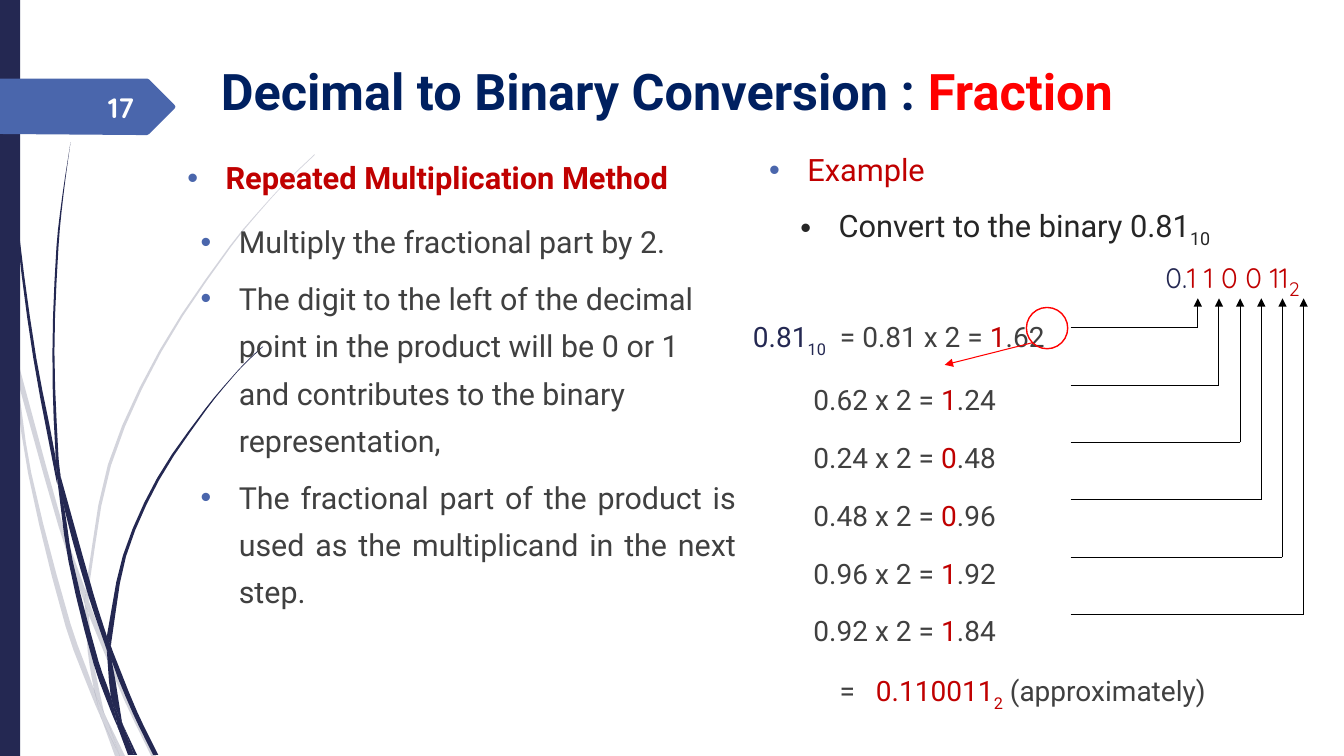
from math import dist
from lxml import etree
from pptx import Presentation
from pptx.dml.color import RGBColor
from pptx.enum.shapes import MSO_CONNECTOR, MSO_SHAPE
from pptx.enum.text import MSO_ANCHOR, MSO_AUTO_SIZE, PP_ALIGN
from pptx.oxml.ns import qn
from pptx.util import Inches, Pt

LINE = MSO_CONNECTOR.STRAIGHT
RECT, OVAL = MSO_SHAPE.RECTANGLE, MSO_SHAPE.OVAL
TOP, MIDDLE = MSO_ANCHOR.TOP, MSO_ANCHOR.MIDDLE
LEFT, RIGHT, JUSTIFY = PP_ALIGN.LEFT, PP_ALIGN.RIGHT, PP_ALIGN.JUSTIFY
NO_FIT = MSO_AUTO_SIZE.NONE
NAVY, BLUE, RED, DARK_RED, GREY = "242852", "4A66AC", "FF0000", "C00000", "404040"

PALE_WISPS = [
    ([(.11, 3.5), (.09, 3.22), (0, 2.82)], [(0, 2.99), (.1, 3.44), (.11, 3.5)]),
    ([(.17, 3.76), (.58, 5.22), (.84, 5.99)], [(.85, 5.86), (.62, 5.2), (.14, 3.45)]),
    ([(.88, 5.96), (.92, 6.07), (1.27, 6.92), (1.55, 7.5)],
     [(1.5, 7.5), (1.23, 6.94), (.88, 6.1)]),
    ([(1.05, 7.11), (1.24, 7.5)], [(1.19, 7.5), (1.05, 7.11)]),
    ([(1.01, 7.14), (.99, 7.07), (.93, 6.83), (.7, 6.19), (.31, 4.69), (.17, 3.76), (.11, 3.5)],
     [(.11, 3.5), (.28, 4.7), (.65, 6.21), (.92, 6.93), (1.01, 7.14)]),
    ([(.84, 5.99), (.87, 6.46), (.93, 6.83), (.96, 6.92), (1.05, 7.11)],
     [(1.05, 7.11), (1.03, 7.06), (.91, 6.46), (.88, 6.1), (.84, 5.99)]),
    ([(.88, 5.96), (.88, 5.84), (1.1, 4.62), (1.6, 3.49), (2.29, 2.45), (2.68, 1.98),
      (2.9, 1.75), (3.12, 1.54)],
     [(3.12, 1.53), (2.89, 1.75), (2.68, 1.97), (2.28, 2.44), (1.58, 3.48), (1.07, 4.61),
      (.85, 5.84), (.85, 5.86)]),
    ([(1.01, 7.14), (1.14, 7.5)], [(1.19, 7.5), (1.01, 7.14)]),
    ([(.88, 6.1), (.88, 5.96)], [(.85, 5.86), (.84, 5.99), (.88, 6.08)]),
    ([(.93, 6.83), (.96, 6.92), (1.05, 7.11), (1.19, 7.5)],
     [(1.19, 7.5), (1.01, 7.14), (.99, 7.07), (.93, 6.83)]),
]
NAVY_WISPS = [
    ([(.04, 0), (.05, .48), (.08, 1.09), (.19, 2.32), (.36, 3.55), (.55, 4.53), (.57, 4.81)],
     [(.57, 4.81), (.56, 4.77), (.33, 3.55), (.17, 2.33), (.07, 1.1), (.04, .48), (.03, 0)]),
    ([(.6, 4.72), (.64, 5.05), (.88, 5.92), (1.06, 6.45)],
     [(1.06, 6.31), (.93, 5.9), (.6, 4.72)]),
    ([(1.1, 6.41), (1.13, 6.49), (1.36, 7.06), (1.57, 7.49)],
     [(1.52, 7.49), (1.32, 7.08), (1.11, 6.56), (1.1, 6.41)]),
    ([(.57, 4.77), (.64, 5.05), (.72, 5.56), (.98, 6.57), (1.1, 6.91), (1.16, 7.17), (1.17, 7.22)],
     [(1.17, 7.22), (1.11, 7.08), (.93, 6.59), (.68, 5.57), (.57, 4.77)]),
    ([(.6, 4.72), (.58, 4.53), (.54, 3.49), (.58, 2.45), (.63, 1.93), (.7, 1.41)],
     [(.7, 1.41), (.62, 1.93), (.56, 2.45), (.52, 3.49), (.55, 4.49), (.6, 4.72)]),
    ([(1.22, 7.19), (1.36, 7.49)], [(1.33, 7.49), (1.22, 7.19)]),
    ([(.55, 4.49), (.6, 4.72), (.64, 5.05)], [(.64, 5.05), (.57, 4.77), (.55, 4.49)]),
    ([(1.1, 6.41), (1.11, 6.33), (1.25, 5.52), (1.58, 4.76), (2.05, 4.06), (2.31, 3.74),
      (2.45, 3.59), (2.61, 3.44)],
     [(2.6, 3.44), (2.45, 3.58), (2.31, 3.73), (2.04, 4.05), (1.56, 4.74), (1.22, 5.51),
      (1.06, 6.31)]),
    ([(1.17, 7.22), (1.27, 7.49)], [(1.31, 7.49), (1.17, 7.22)]),
    ([(1.06, 6.45), (1.1, 6.91), (1.16, 7.06), (1.22, 7.19)],
     [(1.22, 7.19), (1.21, 7.16), (1.11, 6.56), (1.06, 6.45)]),
    ([(1.06, 6.45), (1.11, 6.56), (1.1, 6.41)], [(1.1, 6.41), (1.06, 6.31), (1.06, 6.45)]),
    ([(1.1, 6.91), (1.16, 7.06), (1.22, 7.19), (1.33, 7.49)],
     [(1.3, 7.49), (1.17, 7.22), (1.16, 7.17), (1.1, 6.91)]),
]
NUMBER_FLAG = [(0, .78), (1.46, .78), (1.48, .79), (1.73, 1.04), (1.74, 1.06), (1.73, 1.08),
               (1.48, 1.33), (1.46, 1.34), (1.36, 1.34), (0, 1.33)]
STEPS = [("0.62", "1", ".24"), ("0.24", "0", ".48"), ("0.48", "0", ".96"),
         ("0.96", "1", ".92"), ("0.92", "1", ".84")]


def rgb(color):
    return RGBColor.from_string(color)


def smooth(points, steps=3):
    last = len(points) - 1
    slopes = []
    for i, p in enumerate(points):
        a, b = points[max(i - 1, 0)], points[min(i + 1, last)]
        length = dist(a, p) + dist(p, b)
        slopes.append([(v - u) / length for u, v in zip(a, b)])
    curve = [points[0]]
    for i in range(last):
        p, q = points[i], points[i + 1]
        h = dist(p, q)
        for k in range(1, steps + 1):
            t = k / steps
            bend = 3 * t**2 - 2 * t**3
            curve.append(tuple(
                u + (v - u) * bend + h * (m * (t**3 - 2 * t**2 + t) + n * (t**3 - t**2))
                for u, v, m, n in zip(p, q, slopes[i], slopes[i + 1])))
    return curve


def paint(shape, color, alpha=None):
    shape.shadow.inherit = False
    shape.line.fill.background()
    shape.fill.solid()
    shape.fill.fore_color.rgb = rgb(color)
    if alpha:
        clr = shape.fill._xPr.find(".//" + qn("a:srgbClr"))
        etree.SubElement(clr, qn("a:alpha"), val=str(alpha * 1000))


def outline(s, points, color, alpha=None):
    corners = [(Inches(x), Inches(y)) for x, y in points]
    builder = s.shapes.build_freeform(*corners[0])
    builder.add_line_segments(corners[1:], close=True)
    paint(builder.convert_to_shape(), color, alpha)


def line(s, start, end, color="000000", arrow=False):
    c = s.shapes.add_connector(LINE, *map(Inches, start + end))
    c.line.color.rgb = rgb(color)
    c.line.width = Pt(.75)
    if arrow:
        etree.SubElement(c.line._get_or_add_ln(), qn("a:tailEnd"), type="triangle")
    etree.SubElement(c._element.spPr, qn("a:effectLst"))


def fill_paragraph(p, runs, base, bullet=None, margin=0, indent=0, tabs=(), **fmt):
    for name, value in fmt.items():
        setattr(p, name, value)
    pPr = p._p.get_or_add_pPr()
    pPr.set("marL", str(Inches(margin)))
    pPr.set("indent", str(Inches(indent)))
    if bullet:
        clr = etree.SubElement(pPr, qn("a:buClr"))
        etree.SubElement(clr, qn("a:srgbClr"), val=bullet)
        etree.SubElement(pPr, qn("a:buFont"), typeface="Arial")
        etree.SubElement(pPr, qn("a:buChar"), char="•")
    if tabs:
        tab_list = etree.SubElement(pPr, qn("a:tabLst"))
        for pos in tabs:
            etree.SubElement(tab_list, qn("a:tab"), pos=str(Inches(pos)), algn="l")
    for text, color, *extra in runs:
        r = p.add_run()
        r.text = text
        look = dict(base, **(extra[0] if extra else {}))
        xml = {"baseline": look.pop("baseline", None), "spc": look.pop("spc", None)}
        for name, value in look.items():
            setattr(r.font, name, value)
        r.font.color.rgb = rgb(color)
        for name, value in xml.items():
            if value:
                r.font._element.set(name, str(value))


def write(sp, box, size, paragraphs, font="Roboto", bold=False, wrap=True, anchor=TOP):
    sp.left, sp.top, sp.width, sp.height = map(Inches, box)
    tf = sp.text_frame
    tf.auto_size, tf.word_wrap, tf.vertical_anchor = NO_FIT, wrap, anchor
    base = {"name": font, "size": Pt(size), "bold": bold}
    for i, (runs, fmt) in enumerate(paragraphs):
        p = tf.paragraphs[0] if i == 0 else tf.add_paragraph()
        if i == 0:
            fmt = dict(fmt, space_before=Pt(0))
        fill_paragraph(p, runs, base, **fmt)


def text(s, box, *args, **kwargs):
    write(s.shapes.add_textbox(*map(Inches, box)), box, *args, **kwargs)


def main():
    prs = Presentation()
    prs.slide_width, prs.slide_height = Inches(13.33), Inches(7.5)
    s = prs.slides.add_slide(prs.slide_layouts[5])
    for wisps, alpha in ((PALE_WISPS, 20), (NAVY_WISPS, None)):
        for out, back in wisps:
            outline(s, smooth(out) + smooth(back), NAVY, alpha)
    paint(s.shapes.add_shape(RECT, 0, 0, Inches(.2), prs.slide_height), NAVY)
    outline(s, NUMBER_FLAG, BLUE)
    text(s, (.58, .86, .85, .4), 20, [([("17", "FEFFFF")], {"alignment": RIGHT})],
         font="Quicksand", bold=True, anchor=MIDDLE)

    write(s.shapes.title, (2.09, .55, 9.82, .71), 36,
          [([("Decimal to Binary Conversion : ", "002060"), ("Fraction", RED)],
            {"alignment": LEFT})], bold=True, wrap=False)

    hanging = {"margin": .38, "indent": -.38}
    blue_bullet = dict(hanging, bullet=BLUE)
    text(s, (1.76, 1.53, 5.64, .44), 22,
         [([("Repeated Multiplication Method", DARK_RED)], blue_bullet)], bold=True)
    rules = [("Multiply the fractional part by 2.", JUSTIFY),
             ("The digit to the left of the decimal point in the product will be 0 or 1 "
              "and contributes to the binary representation,", LEFT),
             ("The fractional part of the product is used as the multiplicand in the "
              "next step.", JUSTIFY)]
    text(s, (1.89, 2.06, 5.51, 4.28), 21.7,
         [([(rule, GREY)], dict(blue_bullet, alignment=align, line_spacing=1.3,
                                space_before=Pt(6.5))) for rule, align in rules])
    text(s, (7.53, 1.45, 5.67, .44), 22, [([("Example", DARK_RED)], blue_bullet)])
    text(s, (7.84, 2, 5.4, .83), 22,
         [([("Convert to the binary 0.81", "262626"), ("10", "262626", {"baseline": -25000})],
           dict(hanging, bullet="262626"))])

    row = {"line_spacing": 1.3, "space_before": Pt(10)}
    sub = {"baseline": -30000}
    working = [([("0.81", NAVY), ("10", NAVY, sub), (" ", GREY, {"spc": 500}),
                 ("= 0.81 x 2 = ", GREY), ("1", DARK_RED), (".62", GREY)],
                dict(row, indent=.28))]
    working += [([(f"{number} x 2 = ", GREY), (digit, DARK_RED), (rest, GREY)],
                 dict(row, indent=.88)) for number, digit, rest in STEPS]
    working.append(([("=\t", GREY), ("0.110011", DARK_RED), ("2", DARK_RED, sub),
                     (" (approximately)", GREY)], dict(row, indent=1.14, tabs=[1.49])))
    text(s, (7.09, 3, 6.2, 4.45), 20, working)
    text(s, (11.46, 2.48, 1.85, .44), 20,
         [([("0.", NAVY), ("1 1 0 0 11", DARK_RED),
            ("2", DARK_RED, {"size": Pt(24), "baseline": -25000})], {})], font="Quicksand")

    for i in range(6):
        x, y = 11.88 + .21 * i, 3.25 + .57 * i
        line(s, (10.62, y), (x, y))
        line(s, (x, y), (x, 2.96), arrow=True)
    ring = s.shapes.add_shape(OVAL, *map(Inches, (10.18, 3.05, .41, .41)))
    ring.shadow.inherit = False
    ring.fill.background()
    ring.line.color.rgb = rgb(RED)
    ring.line.width = Pt(1)
    line(s, (10.24, 3.4), (9.37, 3.62), RED, arrow=True)
    prs.save("out.pptx")


if __name__ == "__main__":
    main()
